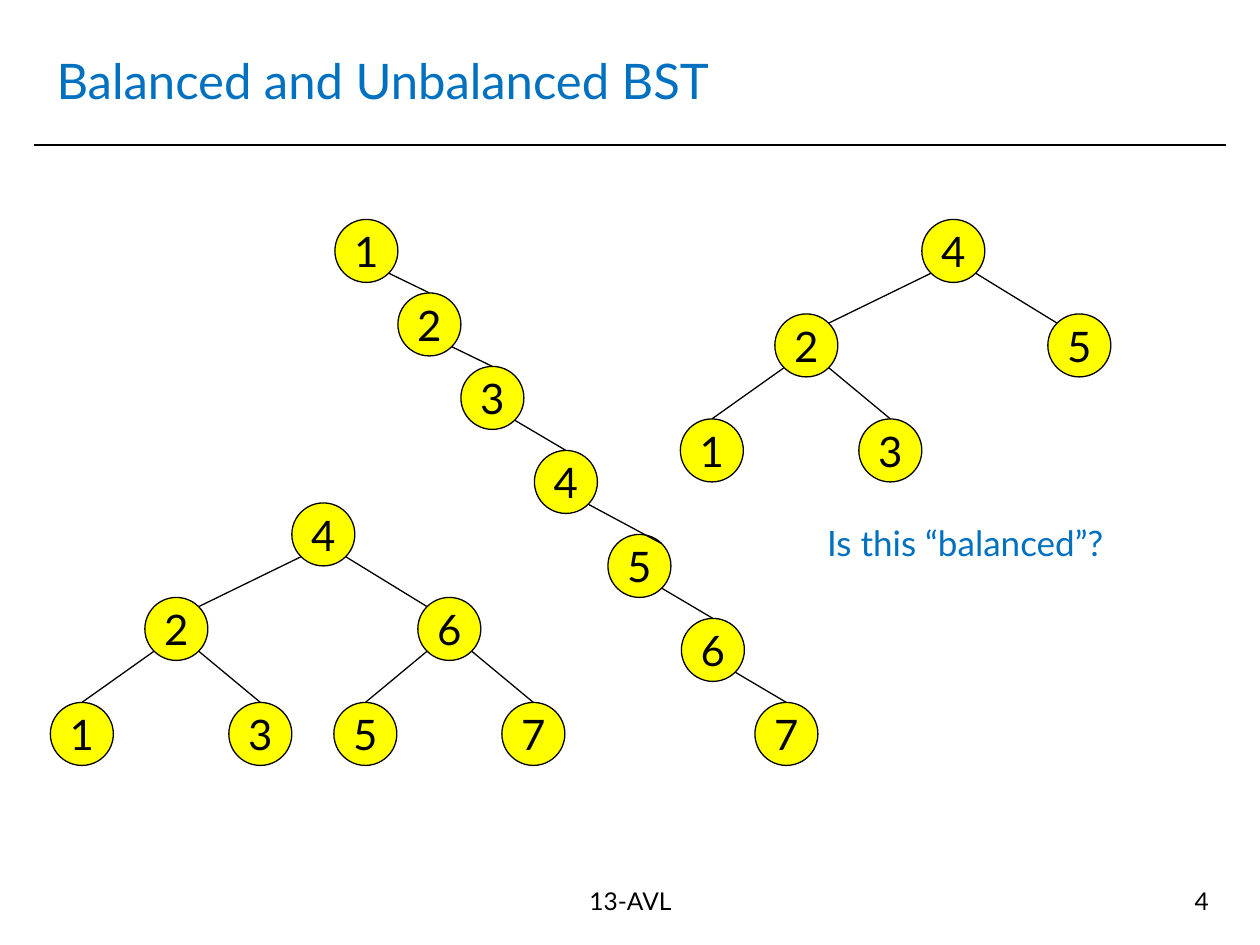
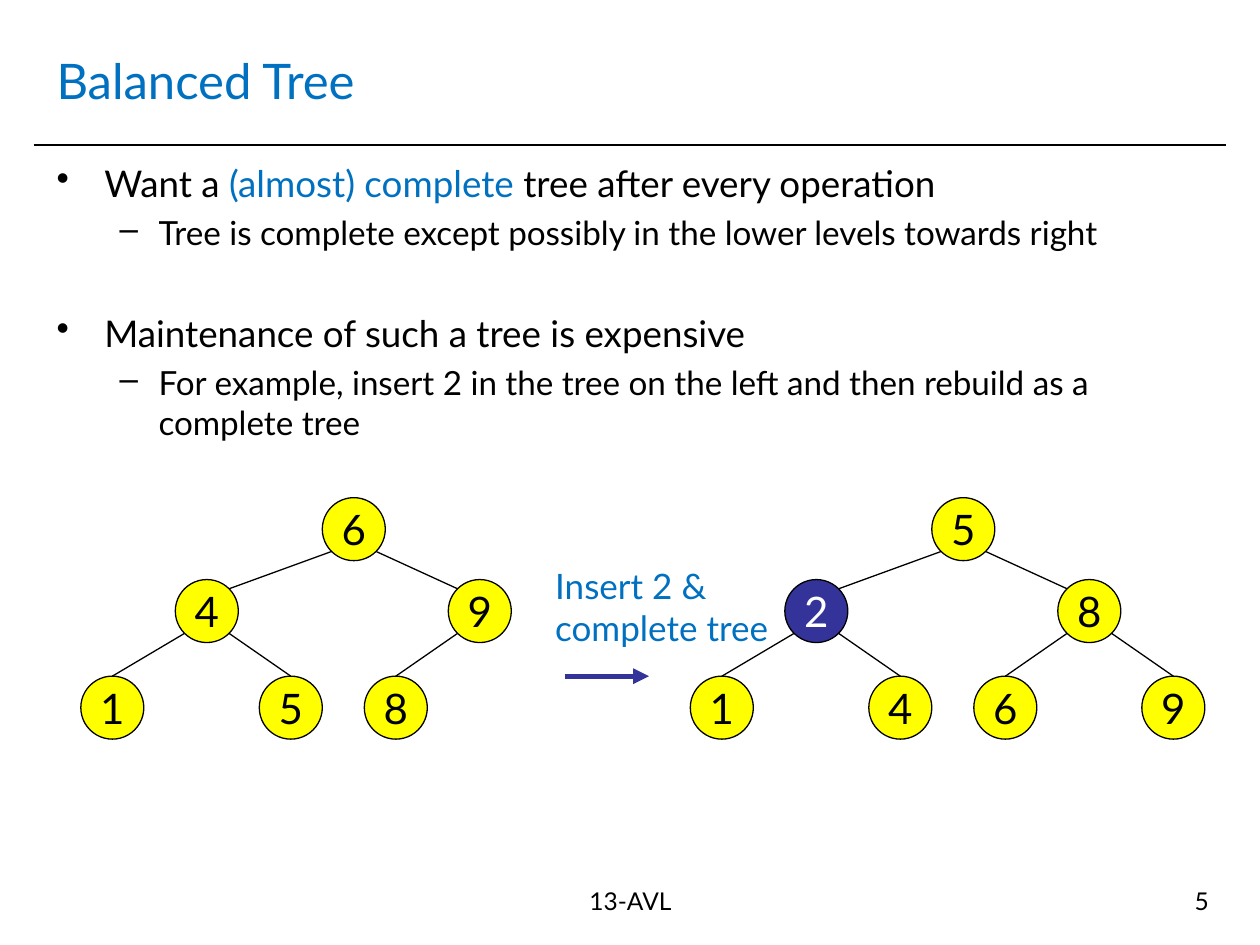
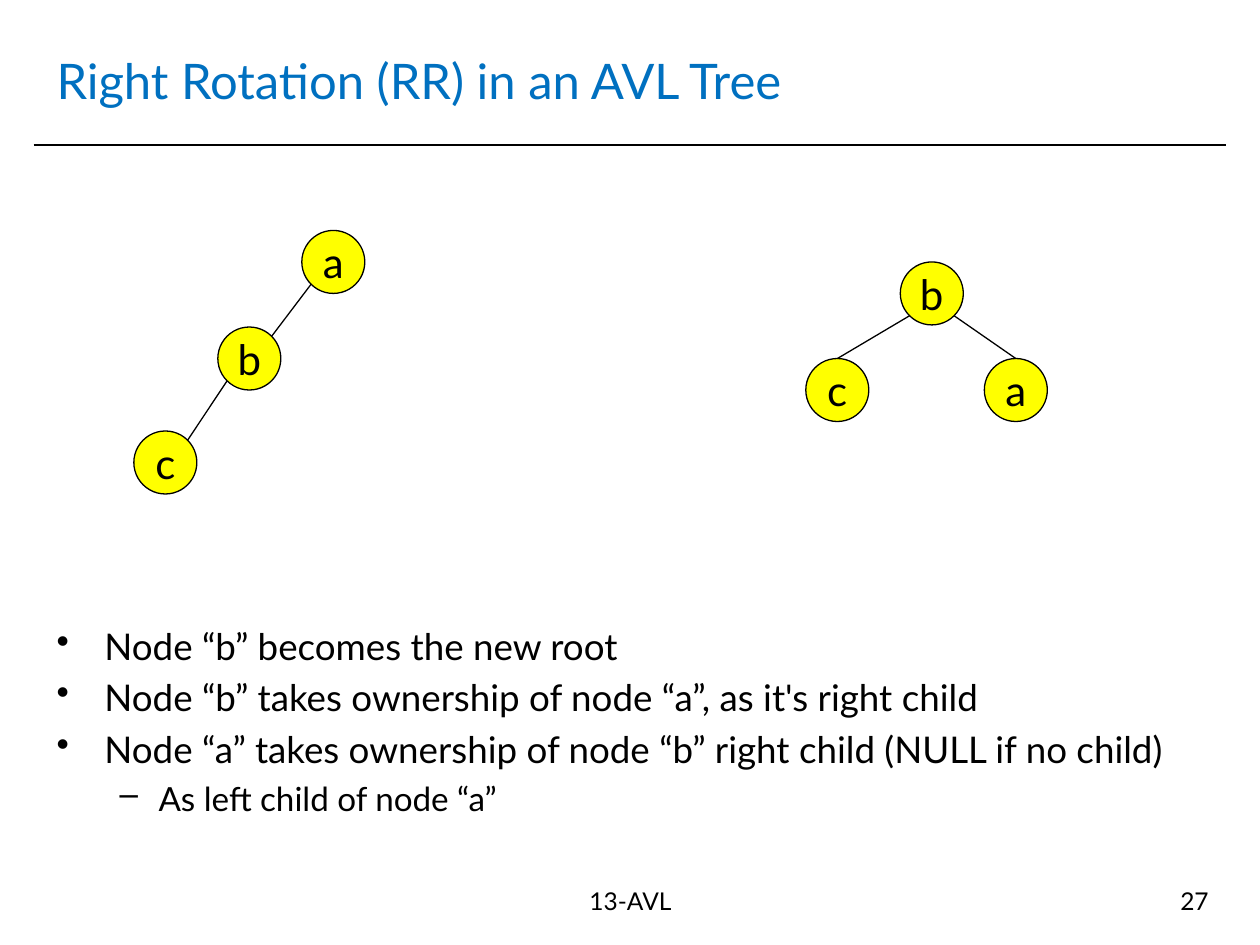
"""Build three slides on balanced search trees and AVL rotation."""
from dataclasses import dataclass
from enum import IntEnum
from math import sqrt

from lxml import etree
from pptx import Presentation
from pptx import util as u
from pptx.dml.color import RGBColor
from pptx.enum import shapes, text
from pptx.oxml import ns

FONT = "Lato"
BLACK = RGBColor(0x00, 0x00, 0x00)
WHITE = RGBColor(0xFF, 0xFF, 0xFF)
BLUE = RGBColor(0x00, 0x70, 0xC0)
INDIGO = RGBColor(0x33, 0x33, 0x99)
YELLOW = RGBColor(0xFF, 0xFF, 0x00)

COLUMNS, ROWS = 120, 90
CELL = u.Inches(10) / COLUMNS
NODE = 6
RADIUS = NODE / 2
DIAGONAL = RADIUS / sqrt(2)


class Side(IntEnum):
    LEFT = -1
    TOP = 0
    RIGHT = 1


@dataclass(frozen=True)
class Area:
    left: float
    top: float
    width: float
    height: float


@dataclass(frozen=True)
class Style:
    size: float
    color: RGBColor = BLACK
    align: text.PP_ALIGN = text.PP_ALIGN.LEFT


@dataclass(frozen=True)
class Spot:
    column: float
    row: float
    parent: int = 0
    entry: Side = Side.TOP


@dataclass(frozen=True)
class Tree:
    left: float
    top: float
    labels: str
    spots: tuple[Spot, ...]
    inserted: str = ""


@dataclass(frozen=True)
class Bullet:
    """A list line whose every second span is accented."""
    spans: tuple[str, ...]
    level: int = 0
    before: float = 4.2


@dataclass(frozen=True)
class Level:
    mark: str
    size: float
    margin: float
    hanging: float


@dataclass(frozen=True)
class Callout:
    area: Area
    lines: tuple[str, ...]


TITLE_AREA = Area(4.2, 2.5, 111.5, 10.2)
BODY_AREA = Area(4.2, 14.75, 111.5, 67)
STEPS_AREA = Area(4.2, 58.8, 111.5, 23)
FOOTER_AREA = Area(40.2, 83.75, 39.7, 6.25)
NUMBER_AREA = Area(88.3, 83.75, 28, 6.25)
RULE_START, RULE_END, RULE_ROW = 3.2, 116.8, 13.8
LEVELS = (Level("•", 21, 0.38, 0.38), Level("–", 19, 0.81, 0.31))


def full_layout(middle: float, low: float) -> tuple[Spot, ...]:
    """Return three tree levels in heap order."""
    columns = (0, -14, 12, -23, -6, 4, 20)
    rows = (0, middle, middle) + (low,) * 4
    entries = (Side.TOP, Side.RIGHT, Side.LEFT) + (Side.TOP,) * 4
    return tuple(Spot(column, row, (index - 1) // 2, entry)
                 for index, (column, row, entry) in enumerate(zip(columns, rows, entries)))


def chain_layout(columns: tuple, rows: tuple, entries: tuple) -> tuple[Spot, ...]:
    """Return spots that each hang from the one before."""
    return tuple(Spot(column, row, index - 1, entry)
                 for index, (column, row, entry) in enumerate(zip(columns, rows, entries)))


TALL = full_layout(9, 19)
SHORT = full_layout(7.8, 17)
LONG_CHAIN = chain_layout((0, 6, 12, 19, 26, 33, 40), (0, 7, 14, 22, 30, 38, 46),
                          (Side.TOP,) * 4 + (Side.RIGHT,) + (Side.TOP,) * 2)
LEFT_CHAIN = chain_layout((0, -8, -16), (0, 9.2, 19.1), (Side.RIGHT,) * 3)
ROTATED = (Spot(0, 0), Spot(-9, 9.2), Spot(8, 9.2))


def cells(count: float) -> u.Emu:
    """Convert grid cells to a length."""
    return u.Emu(round(count * CELL))


def place(area: Area) -> tuple[u.Emu, ...]:
    """Return the position and size of an area."""
    return cells(area.left), cells(area.top), cells(area.width), cells(area.height)


def set_font(font, size: float, color: RGBColor | None = None) -> None:
    """Set typeface, size and, if given, colour."""
    font.name = FONT
    font.size = u.Pt(size)
    if color is not None:
        font.color.rgb = color


def add_text(page, area: Area, lines: tuple[str, ...], style: Style,
             anchor=text.MSO_ANCHOR.TOP, wrap: bool = True):
    """Add a text box with one paragraph a line."""
    box = page.shapes.add_textbox(*place(area))
    frame = box.text_frame
    frame.word_wrap = wrap
    frame.vertical_anchor = anchor
    frame.text = "\n".join(lines)
    for para in frame.paragraphs:
        para.alignment = style.align
        set_font(para.font, style.size, style.color)
    return box


def add_line(page, start: tuple[float, float], end: tuple[float, float],
             width: float = 0.75, color: RGBColor = BLACK):
    """Add a plain straight connector between two grid points."""
    line = page.shapes.add_connector(shapes.MSO_CONNECTOR.STRAIGHT,
                                     *map(cells, start + end))
    line.line.width = u.Pt(width)
    line.line.color.rgb = color
    etree.SubElement(line._element.spPr, ns.qn("a:effectLst"))
    return line


def add_arrow(page, start: tuple[float, float], end: tuple[float, float]) -> None:
    """Add a thick arrow."""
    arrow = add_line(page, start, end, 3, INDIGO)
    etree.SubElement(arrow.line._get_or_add_ln(), ns.qn("a:tailEnd"), type="triangle")


def add_node(page, label: str, left: float, top: float, inserted: bool):
    """Add one labelled tree node."""
    node = page.shapes.add_shape(shapes.MSO_SHAPE.OVAL, *place(Area(left, top, NODE, NODE)))
    node.shadow.inherit = False
    node.fill.solid()
    node.fill.fore_color.rgb = INDIGO if inserted else YELLOW
    node.line.color.rgb = BLACK
    node.line.width = u.Pt(0.75)
    frame = node.text_frame
    frame.word_wrap = False
    frame.vertical_anchor = text.MSO_ANCHOR.MIDDLE
    frame.text = label
    para = frame.paragraphs[0]
    para.alignment = text.PP_ALIGN.CENTER
    set_font(para.font, 24, WHITE if inserted else BLACK)
    return node


def add_tree(page, tree: Tree) -> None:
    """Draw the nodes of a tree, then its edges."""
    placed = list(zip(tree.labels, tree.spots))
    nodes = [add_node(page, label, tree.left + spot.column, tree.top + spot.row,
                      label in tree.inserted)
             for label, spot in placed]

    def centre(spot: Spot) -> tuple[float, float]:
        return tree.left + spot.column + RADIUS, tree.top + spot.row + RADIUS

    for node, (_, spot) in list(zip(nodes, placed))[1:]:
        parent = tree.spots[spot.parent]
        x, y = centre(parent)
        way = Side.LEFT if spot.column < parent.column else Side.RIGHT
        start = (x + way * DIAGONAL, y + DIAGONAL)
        x, y = centre(spot)
        rise = DIAGONAL if spot.entry else RADIUS
        edge = add_line(page, start, (x + spot.entry * DIAGONAL, y - rise))
        if spot.entry == Side.TOP:
            edge.end_connect(node, 0)


def add_bullets(page, area: Area, bullets: tuple[Bullet, ...]) -> None:
    """Add a two-level bullet list."""
    frame = page.shapes.add_textbox(*place(area)).text_frame
    frame.word_wrap = True
    for index, bullet in enumerate(bullets):
        level = LEVELS[bullet.level]
        para = frame.add_paragraph() if index else frame.paragraphs[0]
        para.level = bullet.level
        props = para._p.get_or_add_pPr()
        props.set("marL", str(u.Inches(level.margin)))
        props.set("indent", str(-u.Inches(level.hanging)))
        tint = etree.SubElement(props, ns.qn("a:buClr"))
        etree.SubElement(tint, ns.qn("a:srgbClr"), val=str(BLACK))
        etree.SubElement(props, ns.qn("a:buChar"), char=level.mark)
        if index:
            para.space_before = u.Pt(bullet.before)
        set_font(para.font, level.size)
        for order, words in enumerate(bullet.spans):
            span = para.add_run()
            span.text = words
            span.font.color.rgb = BLUE if order % 2 else BLACK


def add_callout(page, callout: Callout) -> None:
    """Add a blue remark beside a tree."""
    box = add_text(page, callout.area, callout.lines, Style(20, BLUE), wrap=False)
    box.text_frame.auto_size = text.MSO_AUTO_SIZE.SHAPE_TO_FIT_TEXT


def add_page(deck, title: str, number: int):
    """Add a slide with its rule, title and footers."""
    page = deck.slides.add_slide(deck.slide_layouts[6])
    add_line(page, (RULE_START, RULE_ROW), (RULE_END, RULE_ROW), 1)
    add_text(page, TITLE_AREA, (title,), Style(28, BLUE), text.MSO_ANCHOR.MIDDLE)
    add_text(page, FOOTER_AREA, ("13-AVL",), Style(14, align=text.PP_ALIGN.CENTER))
    add_text(page, NUMBER_AREA, (str(number),), Style(14, align=text.PP_ALIGN.RIGHT))
    return page


def build_comparison(deck) -> None:
    """Compare balanced and unbalanced trees."""
    page = add_page(deck, "Balanced and Unbalanced BST", 4)
    add_tree(page, Tree(87.8, 20.9, "42513", TALL))
    add_tree(page, Tree(31.9, 20.9, "1234567", LONG_CHAIN))
    add_tree(page, Tree(27.8, 47.9, "4261357", TALL))
    add_callout(page, Callout(Area(77.6, 49.1, 30, 5.3), ("Is this “balanced”?",)))


def build_insertion(deck) -> None:
    """Show an insertion that rebuilds a complete tree."""
    page = add_page(deck, "Balanced Tree", 5)
    add_bullets(page, BODY_AREA, (
        Bullet(("Want a ", "(almost) complete ", "tree after every operation")),
        Bullet(("Tree is complete except possibly in the lower levels towards right",), 1),
        Bullet(("Maintenance of such a tree is expensive",), before=33.6),
        Bullet(("For example, insert 2 in the tree on the left and then rebuild as a "
                "complete tree",), 1),
    ))
    add_callout(page, Callout(Area(51.7, 53.15, 22.8, 9.25), ("Insert 2 &", "complete tree")))
    add_tree(page, Tree(30.7, 47.4, "649158", SHORT))
    add_tree(page, Tree(88.75, 47.4, "5281469", SHORT, inserted="2"))
    add_arrow(page, (53.8, 64.4), (61.8, 64.4))


def build_rotation(deck) -> None:
    """Show a right rotation and its steps."""
    page = add_page(deck, "Right Rotation (RR) in an AVL Tree", 27)
    add_bullets(page, STEPS_AREA, (
        Bullet(("Node “b” becomes the new root",)),
        Bullet(("Node “b” takes ownership of node “a”, as it's right child",)),
        Bullet(("Node “a” takes ownership of node “b” right child (NULL if no child)",)),
        Bullet(("As left child of node “a”",), 1),
    ))
    add_tree(page, Tree(85.75, 24.95, "bca", ROTATED))
    add_tree(page, Tree(28.75, 21.95, "abc", LEFT_CHAIN))


def main() -> None:
    """Build and save the deck."""
    deck = Presentation()
    deck.slide_width = cells(COLUMNS)
    deck.slide_height = cells(ROWS)
    for build in (build_comparison, build_insertion, build_rotation):
        build(deck)
    deck.save("out.pptx")


if __name__ == "__main__":
    main()
